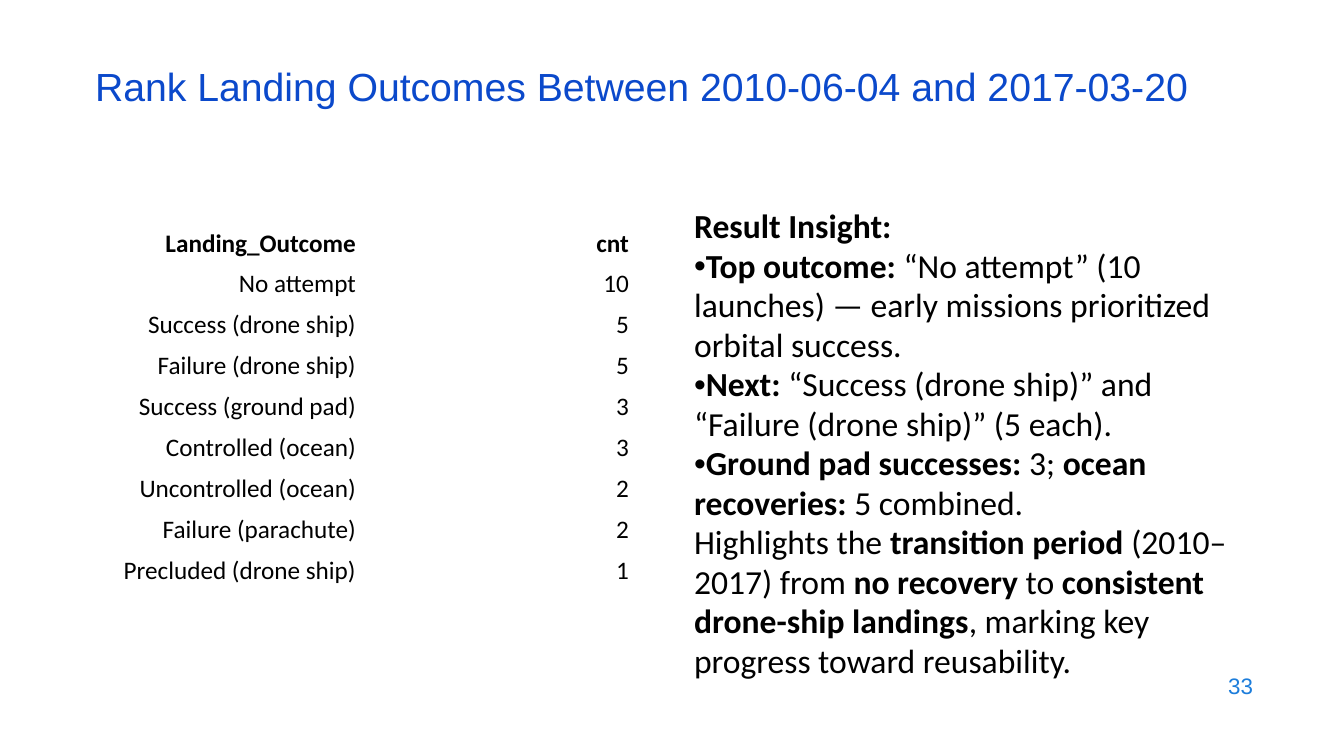
import lxml.etree
import pptx
import pptx.dml.color
import pptx.enum.text
import pptx.oxml.ns
import pptx.util

SLIDE_WIDTH, SLIDE_HEIGHT = 1344, 756
EMU_PER_PX = 12192000 / SLIDE_WIDTH
COLORS = {"title": "0B49CB", "number": "1C7DDB", "text": "000000", "cell": "FFFFFF"}
ALIGN = pptx.enum.text.PP_ALIGN
ANCHOR = pptx.enum.text.MSO_ANCHOR

OUTCOMES = [
    ("Landing_Outcome", "cnt"),
    ("No attempt", "10"),
    ("Success (drone ship)", "5"),
    ("Failure (drone ship)", "5"),
    ("Success (ground pad)", "3"),
    ("Controlled (ocean)", "3"),
    ("Uncontrolled (ocean)", "2"),
    ("Failure (parachute)", "2"),
    ("Precluded (drone ship)", "1"),
]

# Each paragraph: bulleted or not, then spans of (text, bold)
INSIGHTS = [
    (False, [("Result Insight:", True)]),
    (True, [("Top outcome:", True),
            (" “No attempt” (10 launches) — early missions prioritized orbital success.", False)]),
    (True, [("Next:", True),
            (" “Success (drone ship)” and “Failure (drone ship)” (5 each).", False)]),
    (True, [("Ground pad successes:", True), (" 3; ", False),
            ("ocean recoveries:", True), (" 5 combined.", False)]),
    (False, [("Highlights the ", False), ("transition period", True),
             (" (2010–2017) from ", False), ("no recovery", True), (" to ", False),
             ("consistent drone-ship landings", True),
             (", marking key progress toward reusability.", False)]),
]


def emu(px):
    return round(px * EMU_PER_PX)


def set_all(target, **values):
    for name, value in values.items():
        setattr(target, name, value)


def color(name):
    return pptx.dml.color.RGBColor.from_string(COLORS[name])


def place(shape, box):
    left, top, width, height = map(emu, box)
    set_all(shape, left=left, top=top, width=width, height=height)


def add_span(para, text, ink, **values):
    span = para.add_run()
    span.text = text
    set_all(span.font, **values)
    span.font.color.rgb = color(ink)


def set_bullet(para, bulleted):
    properties = para._p.get_or_add_pPr()
    set_all_xml = {"marL": "0", "indent": "0"}
    for name, value in set_all_xml.items():
        properties.set(name, value)
    tag = "a:buChar" if bulleted else "a:buNone"
    bullet = lxml.etree.SubElement(properties, pptx.oxml.ns.qn(tag))
    if bulleted:
        bullet.set("char", "•")


def fill_line(shape, box, text, ink, size, **para_values):
    """One line of Arial text, centred vertically in its box."""
    place(shape, box)
    set_all(shape.text_frame, word_wrap=True, vertical_anchor=ANCHOR.MIDDLE,
            auto_size=pptx.enum.text.MSO_AUTO_SIZE.NONE)
    para = shape.text_frame.paragraphs[0]
    set_all(para, **para_values)
    add_span(para, text, ink, name="Arial", size=pptx.util.Pt(size), bold=False)


def fill_insights(body, box):
    place(body, box)
    frame = body.text_frame
    set_all(frame, word_wrap=True, vertical_anchor=ANCHOR.TOP,
            auto_size=pptx.enum.text.MSO_AUTO_SIZE.NONE)
    for index, (bulleted, spans) in enumerate(INSIGHTS):
        para = frame.add_paragraph() if index else frame.paragraphs[0]
        set_bullet(para, bulleted)
        set_all(para, alignment=ALIGN.LEFT, line_spacing=0.98,
                space_before=pptx.util.Pt(0), space_after=pptx.util.Pt(0))
        for text, bold in spans:
            add_span(para, text, "text", name="Calibri", size=pptx.util.Pt(24), bold=bold)


def add_outcome_table(page, box):
    table = page.shapes.add_table(len(OUTCOMES), 2, *map(emu, box)).table
    set_all(table, first_row=False, horz_banding=False)
    for row_index, row in enumerate(OUTCOMES):
        for column_index, text in enumerate(row):
            cell = table.cell(row_index, column_index)
            cell.vertical_anchor = ANCHOR.MIDDLE
            cell.fill.solid()
            cell.fill.fore_color.rgb = color("cell")
            para = cell.text_frame.paragraphs[0]
            para.alignment = ALIGN.RIGHT
            add_span(para, text, "text", name="Calibri", size=pptx.util.Pt(18),
                     bold=row_index == 0)


def main():
    deck = pptx.Presentation()
    set_all(deck, slide_width=emu(SLIDE_WIDTH), slide_height=emu(SLIDE_HEIGHT))
    page = deck.slides.add_slide(deck.slide_layouts[1])

    # Title
    fill_line(page.shapes.title, (85, 59, 1159, 60),
              "Rank Landing Outcomes Between 2010-06-04 and 2017-03-20",
              "title", 28, alignment=ALIGN.LEFT, line_spacing=0.9)
    # Outcome counts on the left, insights on the right
    fill_insights(page.placeholders[1], (684, 202, 559, 480))
    add_outcome_table(page, (93, 223, 546, 363))
    # Page number
    number_box = (961, 664, 302, 44)
    number = page.shapes.add_textbox(*map(emu, number_box))
    fill_line(number, number_box, "33", "number", 16, alignment=ALIGN.RIGHT)

    deck.save("out.pptx")


if __name__ == "__main__":
    main()
